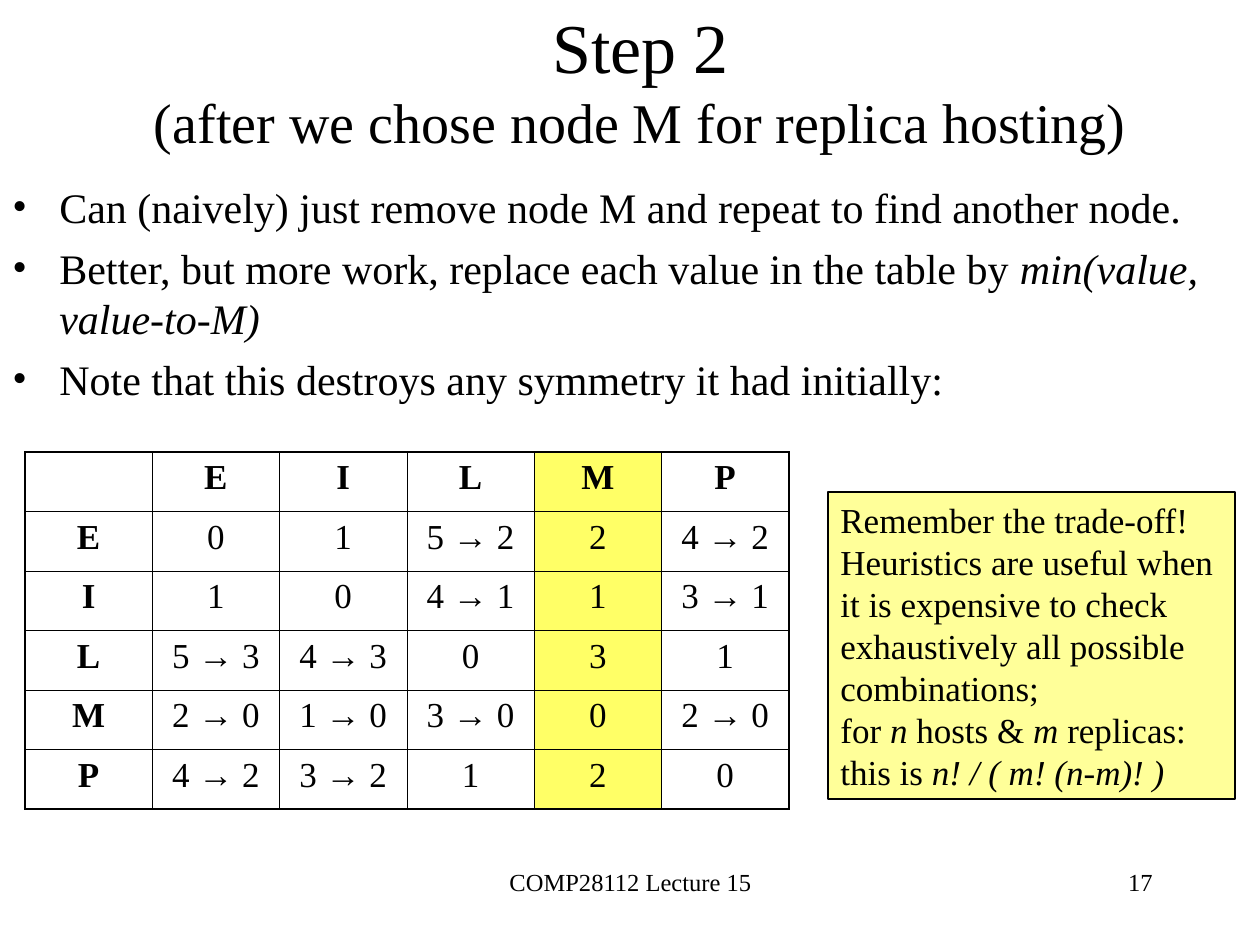
from lxml.etree import SubElement
from pptx import Presentation
from pptx.dml.color import RGBColor
from pptx.enum.shapes import MSO_SHAPE
from pptx.enum.text import MSO_ANCHOR, MSO_AUTO_SIZE, PP_ALIGN
from pptx.oxml.ns import qn
from pptx.util import Pt

EMU_PER_PX = 914400 / 126
FONT = "Times New Roman"
BLACK = "000000"
HIGHLIGHT = "FFFF66"
NOTE_FILL = "FFFF99"
THIN, THICK = 0.45, 1.08

# Each span is (text, italic).
BULLETS = [
    [("Can (naively) just remove node M and repeat to find another node.", False)],
    [("Better, but more work, replace each value in the table by ", False),
     ("min(value, value-to-M)", True)],
    [("Note that this destroys any symmetry it had initially:", False)],
]
NOTE = [
    [("Remember the trade-off! Heuristics are useful when it is expensive "
      "to check exhaustively all possible combinations;", False)],
    [("for ", False), ("n", True), (" hosts & ", False), ("m", True),
     (" replicas: this is ", False), ("n! / ( m! (n-m)! )", True)],
]
NODES = ["E", "I", "L", "M", "P"]
CHOSEN = "M"
DISTANCES = [
    ["0", "1", "5 → 2", "2", "4 → 2"],
    ["1", "0", "4 → 1", "1", "3 → 1"],
    ["5 → 3", "4 → 3", "0", "3", "1"],
    ["2 → 0", "1 → 0", "3 → 0", "0", "2 → 0"],
    ["4 → 2", "3 → 2", "1", "2", "0"],
]


def px(length):
    return round(length * EMU_PER_PX)


def px_box(*lengths):
    return [px(length) for length in lengths]


def color(hex_value):
    return RGBColor.from_string(hex_value)


def style_para(para, size, align=PP_ALIGN.LEFT, bold=False):
    para.alignment = align
    para.font.name = FONT
    para.font.size = Pt(size)
    para.font.bold = bold
    para.font.color.rgb = color(BLACK)


def write_paras(frame, paras, size):
    """Fill a text frame with paragraphs made of (text, italic) spans."""
    for index, spans in enumerate(paras):
        para = frame.add_paragraph() if index else frame.paragraphs[0]
        style_para(para, size)
        for text, italic in spans:
            span = para.add_run()
            span.text = text
            if italic:
                span.font.italic = True


def set_title(slide):
    title = slide.shapes.title
    title.left, title.top, title.width, title.height = px_box(105, 0, 1071, 158)
    frame = title.text_frame
    frame.auto_size = MSO_AUTO_SIZE.NONE
    frame.vertical_anchor = MSO_ANCHOR.MIDDLE
    para = frame.paragraphs[0]
    style_para(para, 40, PP_ALIGN.CENTER)
    para.add_run().text = "Step 2"
    para.add_line_break()
    subtitle = para.add_run()
    subtitle.text = "(after we chose node M for replica hosting)"
    subtitle.font.size = Pt(32)


def add_bullets(slide):
    box = slide.shapes.add_textbox(*px_box(0, 175, 1260, 248))
    frame = box.text_frame
    frame.word_wrap = True
    write_paras(frame, BULLETS, 24)
    for para in frame.paragraphs:
        para.space_before = Pt(6)
        properties = para._p.get_or_add_pPr()
        properties.set("marL", str(px(47)))
        properties.set("indent", str(-px(47)))
        SubElement(properties, qn("a:buFont"), typeface=FONT)
        SubElement(properties, qn("a:buChar"), char="•")


def set_border(cell, side, width):
    line = SubElement(cell._tc.get_or_add_tcPr(), qn(f"a:ln{side}"), w=str(Pt(width)))
    fill = SubElement(line, qn("a:solidFill"))
    SubElement(fill, qn("a:srgbClr"), val=BLACK)


def add_distance_table(slide):
    rows = [["", *NODES]]
    rows += [[node, *values] for node, values in zip(NODES, DISTANCES)]
    last = len(NODES)
    chosen_column = rows[0].index(CHOSEN)
    table = slide.shapes.add_table(
        last + 1, last + 1, *px_box(25, 452, 764, 357)).table
    table.first_row = table.horz_banding = False
    for r, values in enumerate(rows):
        for c, value in enumerate(values):
            cell = table.cell(r, c)
            outer_sides = {"L": c == 0, "R": c == last, "T": r == 0, "B": r == last}
            for side, is_outer in outer_sides.items():
                set_border(cell, side, THICK if is_outer else THIN)
            if c == chosen_column:
                cell.fill.solid()
                cell.fill.fore_color.rgb = color(HIGHLIGHT)
            else:
                cell.fill.background()
            if value:
                cell.text = value
                para = cell.text_frame.paragraphs[0]
                style_para(para, 20, PP_ALIGN.CENTER, bold=r == 0 or c == 0)
                para.space_before = Pt(5)


def add_note(slide):
    note = slide.shapes.add_shape(MSO_SHAPE.RECTANGLE, *px_box(828, 492, 407, 307))
    note.shadow.inherit = False
    note.fill.solid()
    note.fill.fore_color.rgb = color(NOTE_FILL)
    note.line.color.rgb = color(BLACK)
    note.line.width = Pt(0.75)
    frame = note.text_frame
    frame.word_wrap = True
    frame.auto_size = MSO_AUTO_SIZE.SHAPE_TO_FIT_TEXT
    frame.vertical_anchor = MSO_ANCHOR.TOP
    write_paras(frame, NOTE, 20)


def add_footer(slide, text, left, width, align):
    box = slide.shapes.add_textbox(*px_box(left, 861, width, 63))
    box.text_frame.word_wrap = True
    para = box.text_frame.paragraphs[0]
    para.text = text
    style_para(para, 14, align)


def main():
    deck = Presentation()
    deck.slide_width, deck.slide_height = px_box(1260, 945)
    slide = deck.slides.add_slide(deck.slide_layouts[5])
    add_footer(slide, "COMP28112 Lecture 15", 431, 399, PP_ALIGN.CENTER)
    add_footer(slide, "17", 903, 262, PP_ALIGN.RIGHT)
    set_title(slide)
    add_bullets(slide)
    add_distance_table(slide)
    add_note(slide)
    deck.save("out.pptx")


if __name__ == "__main__":
    main()
